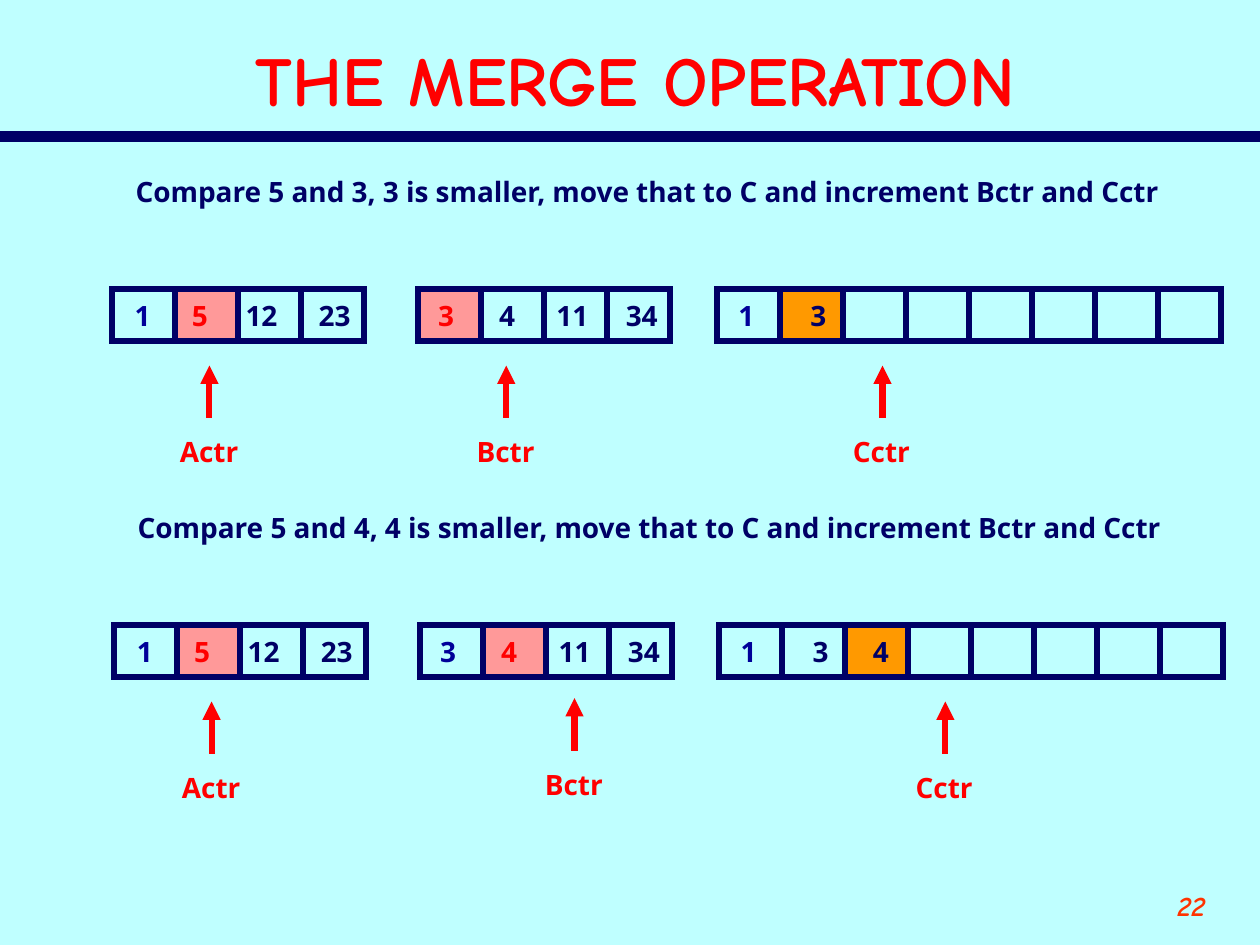
from dataclasses import dataclass

from lxml import etree
from pptx import Presentation
from pptx.dml.color import RGBColor
from pptx.enum.shapes import MSO_CONNECTOR, MSO_SHAPE
from pptx.enum.text import MSO_ANCHOR, MSO_AUTO_SIZE, PP_ALIGN
from pptx.oxml.ns import qn
from pptx.util import Pt

LINE = MSO_CONNECTOR.STRAIGHT
RECT = MSO_SHAPE.RECTANGLE
MIDDLE = MSO_ANCHOR.MIDDLE
GROW = MSO_AUTO_SIZE.SHAPE_TO_FIT_TEXT
LEFT, CENTER, RIGHT = PP_ALIGN.LEFT, PP_ALIGN.CENTER, PP_ALIGN.RIGHT


@dataclass(frozen=True)
class Theme:
    back: str = "BFFFFF"
    navy: str = "000066"
    blue: str = "000099"
    red: str = "FF0000"
    pink: str = "FF9999"
    gold: str = "FF9900"
    page: str = "FF3300"
    head: str = "Comic Neue"
    body: str = "Noto Sans"
    big: float = 40
    small: float = 16
    edge: float = 3.5
    rule: float = 6


THEME = Theme()
CELL_W, CELL_H, TEXT_H = 36, 30, 26.6

# Each array: offset from the stage, cell count, offsets of the value boxes
ARRAYS = {
    "A": (0, 4, (5.8, 38.5, 69.1, 110.9)),
    "B": (174.8, 4, (4.3, 39.2, 72, 111.6)),
    "C": (345.8, 8, (5, 46.1, 80.6)),
}

# Each stage: box, caption, then values, marked cell, pointer x and lift
STAGES = [
    ((64.1, 96.2),
     "Compare 5 and 3, 3 is smaller, move that to C and increment Bctr and Cctr",
     {"A": ("1 5 12 23", 1, 55.6, 0),
      "B": ("3 4 11 34", 0, 50.4, 0),
      "C": ("1 3", 1, 94.4, 0)}),
    ((65.3, 288.2),
     "Compare 5 and 4, 4 is smaller, move that to C and increment Bctr and Cctr",
     {"A": ("1 5 12 23", 1, 55.6, 0),
      "B": ("3 4 11 34", 1, 88.2, 2),
      "C": ("1 3 4", 2, 129.1, 0)}),
]


def add_text(shapes, box, words, color, face=THEME.body, size=THEME.small,
             align=LEFT, wrap=False):
    label = shapes.add_textbox(*map(Pt, box))
    frame = label.text_frame
    frame.text = words
    frame.word_wrap = wrap
    if not wrap:
        frame.auto_size = GROW
    para = frame.paragraphs[0]
    para.alignment = align
    font = para.runs[0].font
    font.name, font.size, font.bold = face, Pt(size), True
    font.color.rgb = RGBColor.from_string(color)
    return label


def add_line(shapes, ends, color, width):
    line = shapes.add_connector(LINE, *map(Pt, ends))
    line.line.color.rgb = RGBColor.from_string(color)
    line.line.width = Pt(width)
    etree.SubElement(line._element.spPr, qn("a:effectLst"))
    return line


def add_header(slide, box):
    left, top, width, height = box
    title = add_text(slide.shapes, (left + 30, top + 18, width - 54, 54),
                     "THE MERGE OPERATION", THEME.red, THEME.head, THEME.big,
                     CENTER, True)
    title.text_frame.vertical_anchor = MIDDLE
    base = top + height
    add_line(slide.shapes, (left, base, left + width, base),
             THEME.navy, THEME.rule)


def add_array(slide, box, name, values, mark):
    left, top = box
    _, count, shifts = ARRAYS[name]
    output = name == "C"
    for i in range(count):
        cell = slide.shapes.add_shape(RECT, Pt(left + i * CELL_W), Pt(top),
                                      Pt(CELL_W), Pt(CELL_H))
        cell.shadow.inherit = False
        cell.line.color.rgb = RGBColor.from_string(THEME.navy)
        cell.line.width = Pt(THEME.edge)
        etree.SubElement(cell.line._get_or_add_ln(), qn("a:miter"),
                         lim="800000")
        if i == mark:
            cell.fill.solid()
            tint = THEME.gold if output else THEME.pink
            cell.fill.fore_color.rgb = RGBColor.from_string(tint)
        else:
            cell.fill.background()

    # Values lie over the cells
    for i, (value, shift) in enumerate(zip(values.split(), shifts)):
        color = THEME.blue if i == 0 else THEME.navy
        if i == mark and not output:
            color = THEME.red
        width = 23 if len(value) == 1 else 34
        add_text(slide.shapes, (left + shift, top + 2.2, width, TEXT_H),
                 value, color)


def add_pointer(slide, tip, name):
    x, top = tip
    group = slide.shapes.add_group_shape()
    arrow = add_line(group.shapes, (x, top, x, top + 30), THEME.red, THEME.edge)
    etree.SubElement(arrow.line._get_or_add_ln(), qn("a:headEnd"),
                     type="triangle")
    add_text(group.shapes, (x - 24, top + 36, 49, TEXT_H),
             name + "ctr", THEME.red)


def add_stage(slide, box, caption, arrays):
    left, top = box
    add_text(slide.shapes, (left + 6.3, top, 603, TEXT_H), caption, THEME.navy)
    for name, (values, mark, tip, lift) in arrays.items():
        start = left + ARRAYS[name][0]
        add_array(slide, (start, top + 68.9), name, values, mark)
        add_pointer(slide, (start + tip, top + 112.7 - lift), name)


def add_footer(slide, box):
    number = add_text(slide.shapes, box, "22", THEME.page, THEME.head,
                      align=RIGHT, wrap=True)
    number.text_frame.paragraphs[0].runs[0].font.italic = True


def main():
    deck = Presentation()
    deck.slide_width, deck.slide_height = Pt(720), Pt(540)
    slide = deck.slides.add_slide(deck.slide_layouts[6])
    fill = slide.background.fill
    fill.solid()
    fill.fore_color.rgb = RGBColor.from_string(THEME.back)

    add_header(slide, (0, 0, 720, 78))
    for stage in STAGES:
        add_stage(slide, *stage)
    add_footer(slide, (624, 504, 72, 36))
    deck.save("out.pptx")


if __name__ == "__main__":
    main()
